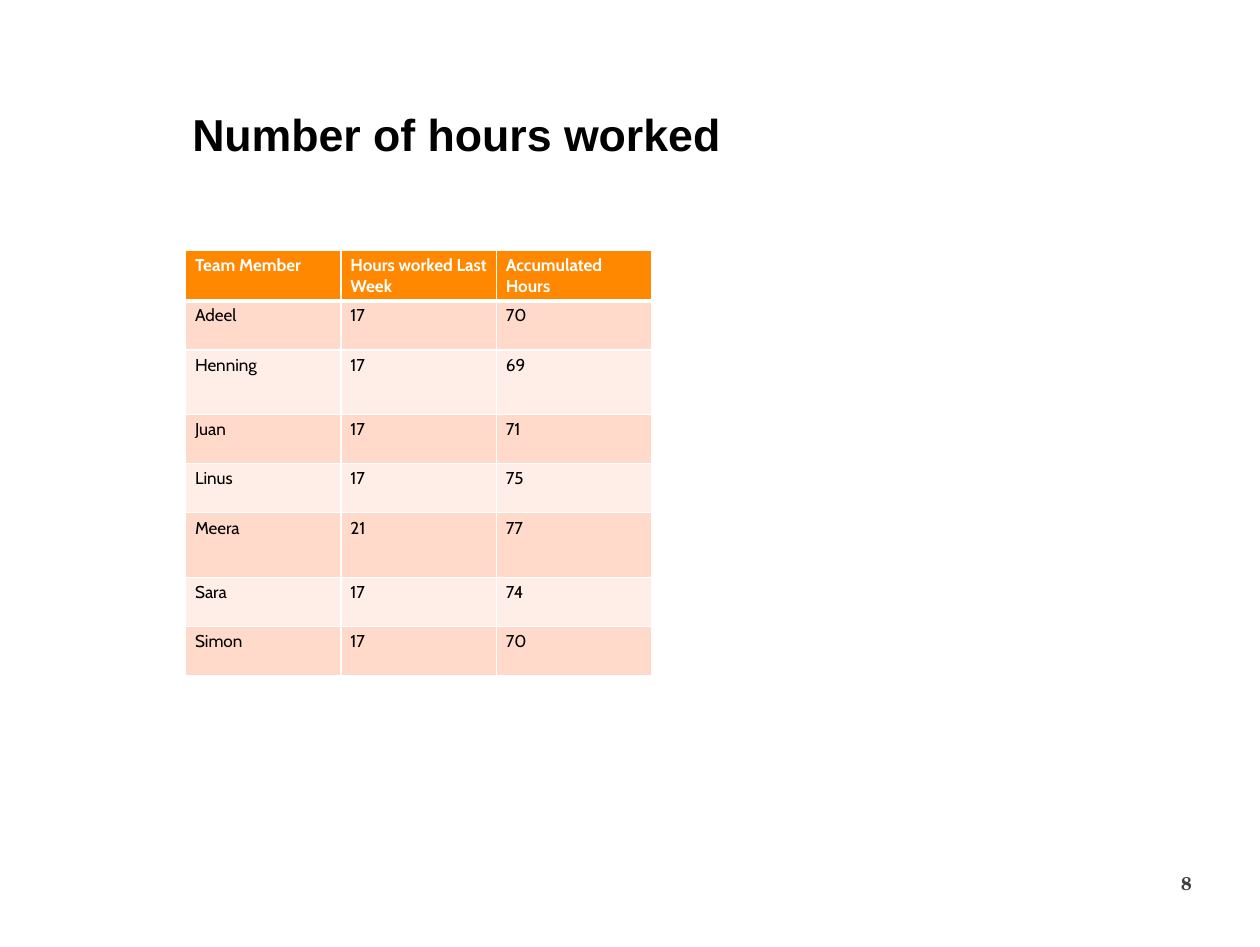
from lxml import etree
from pptx import Presentation
from pptx.dml.color import RGBColor
from pptx.enum.text import MSO_ANCHOR, PP_ALIGN
from pptx.oxml.ns import qn
from pptx.util import Cm, Pt

MIDDLE = MSO_ANCHOR.MIDDLE
LEFT, RIGHT = PP_ALIGN.LEFT, PP_ALIGN.RIGHT

COLOURS = {
    "black": "000000",
    "white": "FFFFFF",
    "grey": "404040",
    "header": "FF8800",
    "dark band": "FFDACB",
    "light band": "FFEDE7",
}
HOURS = [
    ("Team Member", "Hours worked Last Week", "Accumulated Hours"),
    ("Adeel", "17", "70"),
    ("Henning", "17", "69"),
    ("Juan", "17", "71"),
    ("Linus", "17", "75"),
    ("Meera", "21", "77"),
    ("Sara", "17", "74"),
    ("Simon", "17", "70"),
]
TALL_ROWS = ("Henning", "Meera")


class SlideWriter:
    """Holds the table style and the current slide, and adds elements to it."""

    def __init__(self, slide):
        self.slide = slide
        self.table_font = "Cabin"
        self.table_size = 13
        self.column_width = Cm(4.17)
        self.row_height = Cm(1.32)
        self.tall_row_height = Cm(1.73)

    def format_text(self, frame, font, size, colour, bold):
        for para in frame.paragraphs:
            for span in para.runs:
                span.font.name = font
                span.font.size = Pt(size)
                span.font.bold = bold
                span.font.color.rgb = RGBColor.from_string(COLOURS[colour])

    def add_text(self, text, place, font, size, colour, align=LEFT, spacing=1.0):
        box = self.slide.shapes.add_textbox(*(Cm(length) for length in place))
        frame = box.text_frame
        frame.word_wrap = True
        frame.vertical_anchor = MIDDLE
        frame.margin_left = frame.margin_right = Cm(0.18)
        frame.margin_top = frame.margin_bottom = Cm(0.1)
        frame.text = text
        para = frame.paragraphs[0]
        para.alignment = align
        para.line_spacing = spacing
        self.format_text(frame, font, size, colour, True)

    def add_border(self, cell, side, width):
        properties = cell._tc.get_or_add_tcPr()
        line = etree.SubElement(properties, qn(f"a:ln{side}"), w=str(Pt(width)))
        fill = etree.SubElement(line, qn("a:solidFill"))
        etree.SubElement(fill, qn("a:srgbClr"), val=COLOURS["white"])

    def add_cell(self, cell, text, row):
        is_header = row == 0
        widths = {"L": 1, "R": 1, "T": 3 if row == 1 else 1, "B": 3 if is_header else 1}
        for side, width in widths.items():
            self.add_border(cell, side, width)
        band = "header" if is_header else "dark band" if row % 2 else "light band"
        cell.fill.solid()
        cell.fill.fore_color.rgb = RGBColor.from_string(COLOURS[band])
        cell.text_frame.text = text
        colour = "white" if is_header else "black"
        self.format_text(cell.text_frame, self.table_font, self.table_size, colour, is_header)

    def add_table(self, rows, left, top):
        heights = [
            self.tall_row_height if row[0] in TALL_ROWS else self.row_height
            for row in rows
        ]
        count = len(rows[0])
        table = self.slide.shapes.add_table(
            len(rows), count, Cm(left), Cm(top), self.column_width * count, sum(heights)
        ).table
        for column in table.columns:
            column.width = self.column_width
        for row, (texts, height) in enumerate(zip(rows, heights)):
            table.rows[row].height = height
            for column, text in enumerate(texts):
                self.add_cell(table.cell(row, column), text, row)


def main():
    deck = Presentation()
    deck.slide_width = Cm(33.81)
    deck.slide_height = Cm(25.4)
    page = SlideWriter(deck.slides.add_slide(deck.slide_layouts[6]))
    page.add_text(
        "Number of hours worked", (4.98, 2.44, 21.79, 2.49), "Arial", 34, "black", spacing=0.9
    )
    page.add_table(HOURS, 4.98, 6.71)
    page.add_text("8", (26.62, 23.22, 5.54, 0.94), "TeX Gyre Schola", 14, "grey", RIGHT)
    deck.save("out.pptx")


if __name__ == "__main__":
    main()
